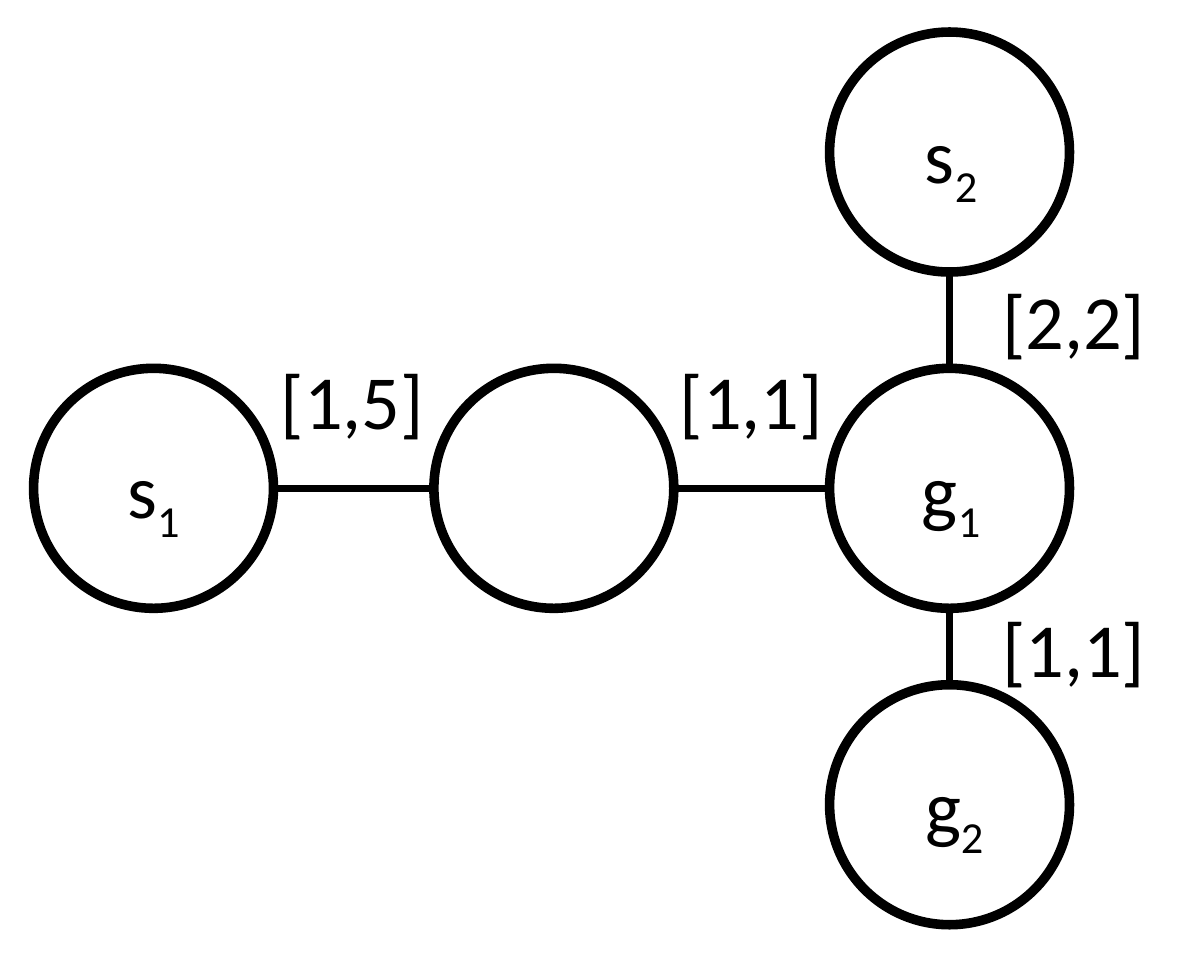
from pptx import Presentation
from pptx.dml.color import RGBColor
from pptx.enum.shapes import MSO_CONNECTOR, MSO_SHAPE
from pptx.enum.text import MSO_AUTO_SIZE, PP_ALIGN
from pptx.oxml.ns import qn
from pptx.util import Inches, Pt
from lxml import etree


def color(hex_code):
    return RGBColor.from_string(hex_code)


def add_label(left, top, width, text, subscript=""):
    label = slide.shapes.add_textbox(Inches(left), Inches(top), Inches(width), Inches(0.71))
    frame = label.text_frame
    frame.word_wrap = False
    frame.auto_size = MSO_AUTO_SIZE.SHAPE_TO_FIT_TEXT
    paragraph = frame.paragraphs[0]
    paragraph.text = text
    if subscript:
        paragraph.alignment = PP_ALIGN.CENTER
        index = paragraph.add_run()
        index.text = subscript
        index.font._element.set("baseline", "-25000")
    for run in paragraph.runs:
        run.font.name = "Calibri"
        run.font.size = Pt(36)
        run.font.color.rgb = color("000000")


presentation = Presentation()
presentation.slide_width = Inches(7.88)
presentation.slide_height = Inches(6.3)
slide = presentation.slides.add_slide(presentation.slide_layouts[6])

diameter = 1.57
radius = diameter / 2
row_top = 2.41
goal_left = 5.43
row_middle = row_top + radius
column_middle = goal_left + radius
start_left, junction_left = 0.22, 2.84
upper_top, lower_top = 0.21, 4.48

nodes = [
    (junction_left, row_top),
    (start_left, row_top),
    (goal_left, row_top),
    (goal_left, lower_top),
    (goal_left, upper_top),
]
for left, top in nodes:
    node = slide.shapes.add_shape(
        MSO_SHAPE.OVAL, Inches(left), Inches(top), Inches(diameter), Inches(diameter))
    node.shadow.inherit = False
    node.fill.solid()
    node.fill.fore_color.rgb = color("FFFFFF")
    node.line.color.rgb = color("000000")
    node.line.width = Pt(4.5)

edges = [
    (column_middle, row_top, column_middle, upper_top + diameter),
    (column_middle, lower_top, column_middle, row_top + diameter),
    (junction_left + diameter, row_middle, goal_left, row_middle),
    (start_left + diameter, row_middle, junction_left, row_middle),
]
for ends in edges:
    edge = slide.shapes.add_connector(MSO_CONNECTOR.STRAIGHT, *[Inches(end) for end in ends])
    edge.line.color.rgb = color("000000")
    edge.line.width = Pt(3)
    etree.SubElement(edge._element.spPr, qn("a:effectLst"))

intervals = [
    (1.74, 2.26, "[1,5]"),
    (4.35, 2.26, "[1,1]"),
    (6.46, 3.88, "[1,1]"),
    (6.46, 1.74, "[2,2]"),
]
for left, top, interval in intervals:
    add_label(left, top, 1.15, interval)

node_names = [
    (0.72, 2.84, 0.57, "s", "1"),
    (5.94, 0.65, 0.57, "s", "2"),
    (5.92, 2.84, 0.61, "g", "1"),
    (5.94, 4.91, 0.61, "g", "2"),
]
for left, top, width, letter, number in node_names:
    add_label(left, top, width, letter, number)

presentation.save("out.pptx")
